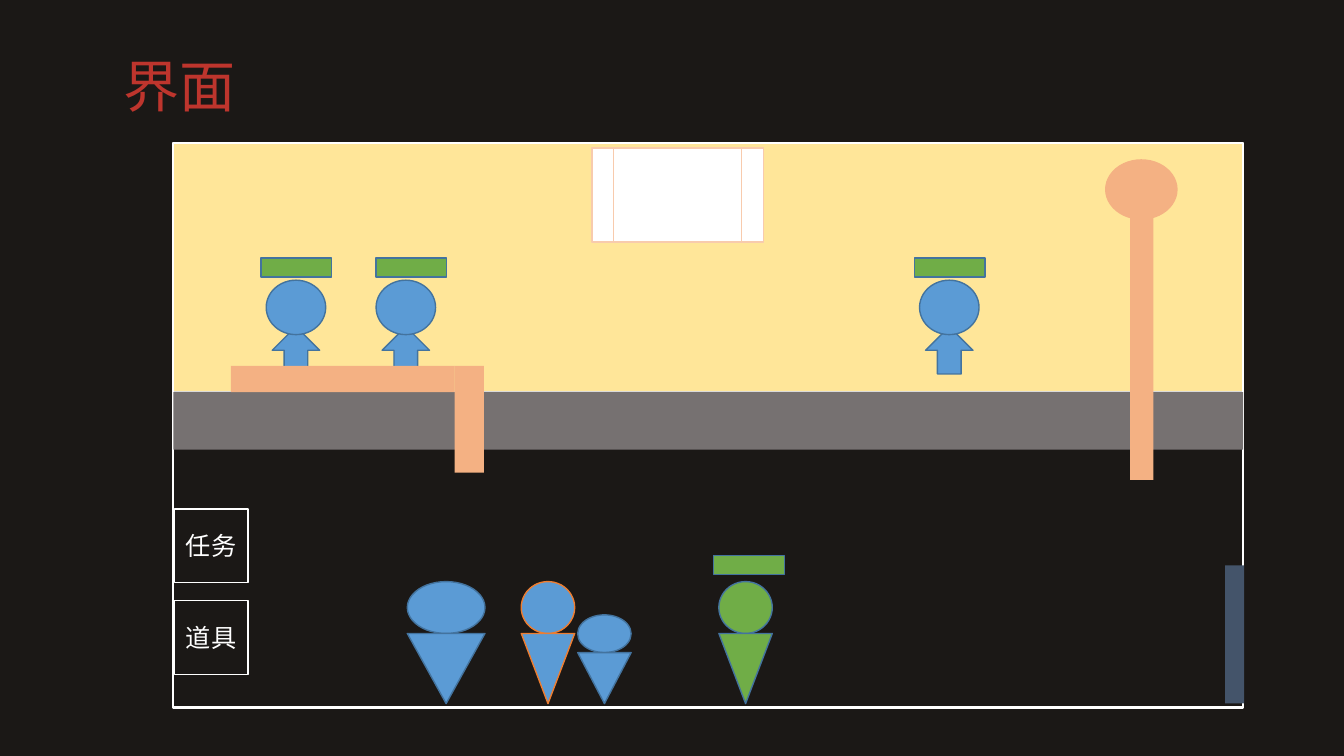
"""Build a slide that sketches the screen layout of a shop game."""
from pptx import Presentation
from pptx.dml.color import RGBColor as Rgb
from pptx.enum.shapes import MSO_SHAPE as Kind
from pptx.enum.text import MSO_ANCHOR as Anchor, PP_ALIGN as Align
from pptx.util import Inches, Pt

HUES = {
    "back": "1B1816", "title": "BE352D", "white": "FFFFFF", "wall": "FFE699",
    "edge": "D9D9D9", "floor": "767171", "blue": "5B9BD5", "navy": "43739E",
    "green": "70AD47", "orange": "ED7D31", "wood": "F4B183", "peach": "F8CBAD",
    "door": "44546A",
}


def hue(name):
    """Return the named colour."""
    return Rgb.from_string(HUES[name])


def draw(shapes, kind, box, fill=None, line=None, width=1, turn=0):
    """Add a flat preset shape in the box."""
    shape = shapes.add_shape(kind, *map(Inches, box))
    shape.shadow.inherit = False
    shape.rotation = turn
    if fill:
        shape.fill.solid()
        shape.fill.fore_color.rgb = hue(fill)
    else:
        shape.fill.background()
    if line:
        shape.line.color.rgb = hue(line)
        shape.line.width = Pt(width)
    else:
        shape.line.fill.background()
    return shape


def write(frame, text, size, color, align=Align.LEFT):
    """Put one styled paragraph in the text frame."""
    frame.word_wrap = True
    para = frame.paragraphs[0]
    para.text = text
    para.alignment = align
    para.font.name = "Arial"
    para.font.size = Pt(size)
    para.font.color.rgb = hue(color)


def title(shapes, box):
    """Add the slide title."""
    write(shapes.add_textbox(*map(Inches, box)).text_frame, "界面", 40, "title")


def room(shapes, box):
    """Draw the wall, the screen frame and the grey floor band."""
    left, top, width, height = box
    wall = 2.47
    draw(shapes, Kind.RECTANGLE, (left, top, width, wall), "wall", "edge")
    draw(shapes, Kind.RECTANGLE, box, line="white", width=1.5)
    draw(shapes, Kind.RECTANGLE, (left, top + wall, width, 0.57), "floor")


def clerk(shapes, box):
    """Draw a clerk with an arrow body and a round head."""
    left, top, width, height = box
    group = shapes.add_group_shape().shapes
    side = 0.47
    body = (left + (width - side) / 2, top + height - side, side, side)
    draw(group, Kind.DOWN_ARROW, body, "blue", "navy", turn=180)
    draw(group, Kind.OVAL, (left, top, width, 0.54), "blue", "navy")


def guest(shapes, box, fill="blue", line="navy"):
    """Draw a guest with a round head on a pointed body."""
    left, top, width, height = box
    group = shapes.add_group_shape().shapes
    head = height * 0.425
    draw(group, Kind.OVAL, (left, top, width, head), fill, line)
    body = (left, top + head, width, height - head)
    draw(group, Kind.ISOSCELES_TRIANGLE, body, fill, line, turn=180)


def bar(shapes, left, top):
    """Draw a green status bar."""
    draw(shapes, Kind.RECTANGLE, (left, top, 0.7, 0.19), "green", "navy")


def lamp(shapes, box):
    """Draw a post with a round top."""
    left, top, width, height = box
    group = shapes.add_group_shape().shapes
    post = (left + 0.25, top + 0.5, 0.23, height - 0.5)
    draw(group, Kind.RECTANGLE, post, "wood")
    draw(group, Kind.OVAL, (left, top, width, 0.6), "wood")


def desk(shapes, box):
    """Draw the L-shaped counter."""
    left, top, width, height = box
    leg = 0.29
    draw(shapes, Kind.RECTANGLE, (left, top, width - leg, 0.26), "wood")
    draw(shapes, Kind.RECTANGLE, (left + width - leg, top, leg, height), "wood")


def menu(shapes, box):
    """Stack the square buttons from the top to the foot of the box."""
    left, top, side, height = box
    names = ("任务", "道具")
    step = (height - side) / (len(names) - 1)
    for row, name in enumerate(names):
        spot = (left, top + row * step, side, side)
        frame = draw(shapes, Kind.RECTANGLE, spot, line="white").text_frame
        frame.vertical_anchor = Anchor.MIDDLE
        frame.margin_left = frame.margin_right = Inches(0.05)
        write(frame, name, 18, "white", Align.CENTER)


def scene(shapes, box):
    """Place the room and everything in it."""
    left, top, width, height = box
    room(shapes, box)
    for shift in (0.92, 2.01, 7.4):
        clerk(shapes, (left + shift, top + 1.36, 0.59, 0.93))
    for shift in (0.87, 2.01, 7.35):
        bar(shapes, left + shift, top + 1.14)
    foot = top + height - 0.04
    guests = (
        (2.32, 0.77, 1.21, "blue", "navy"),
        (3.45, 0.53, 1.21, "blue", "orange"),
        (4.01, 0.53, 0.88, "blue", "navy"),
        (5.41, 0.53, 1.21, "green", "navy"),
    )
    for shift, wide, tall, fill, line in guests:
        guest(shapes, (left + shift, foot - tall, wide, tall), fill, line)
    bar(shapes, left + 5.36, top + 4.09)
    lamp(shapes, (left + 9.24, top + 0.16, 0.72, 3.18))
    door = (left + width - 0.18, foot - 1.37, 0.19, 1.37)
    draw(shapes, Kind.RECTANGLE, door, "door")
    menu(shapes, (left + 0.01, top + 3.63, 0.73, 1.64))
    desk(shapes, (left + 0.57, top + 2.21, 2.51, 1.06))
    pane = (left + 4.15, top + 0.05, 1.7, 0.93)
    draw(shapes, Kind.FLOWCHART_PREDEFINED_PROCESS, pane, "white", "peach")


def main():
    """Build and save the deck."""
    deck = Presentation()
    deck.slide_width, deck.slide_height = Inches(13.33), Inches(7.5)
    slide = deck.slides.add_slide(deck.slide_layouts[6])
    slide.background.fill.solid()
    slide.background.fill.fore_color.rgb = hue("back")
    title(slide.shapes, (1.13, 0.46, 2.6, 0.77))
    scene(slide.shapes, (1.72, 1.42, 10.61, 5.6))
    deck.save("out.pptx")


if __name__ == "__main__":
    main()
